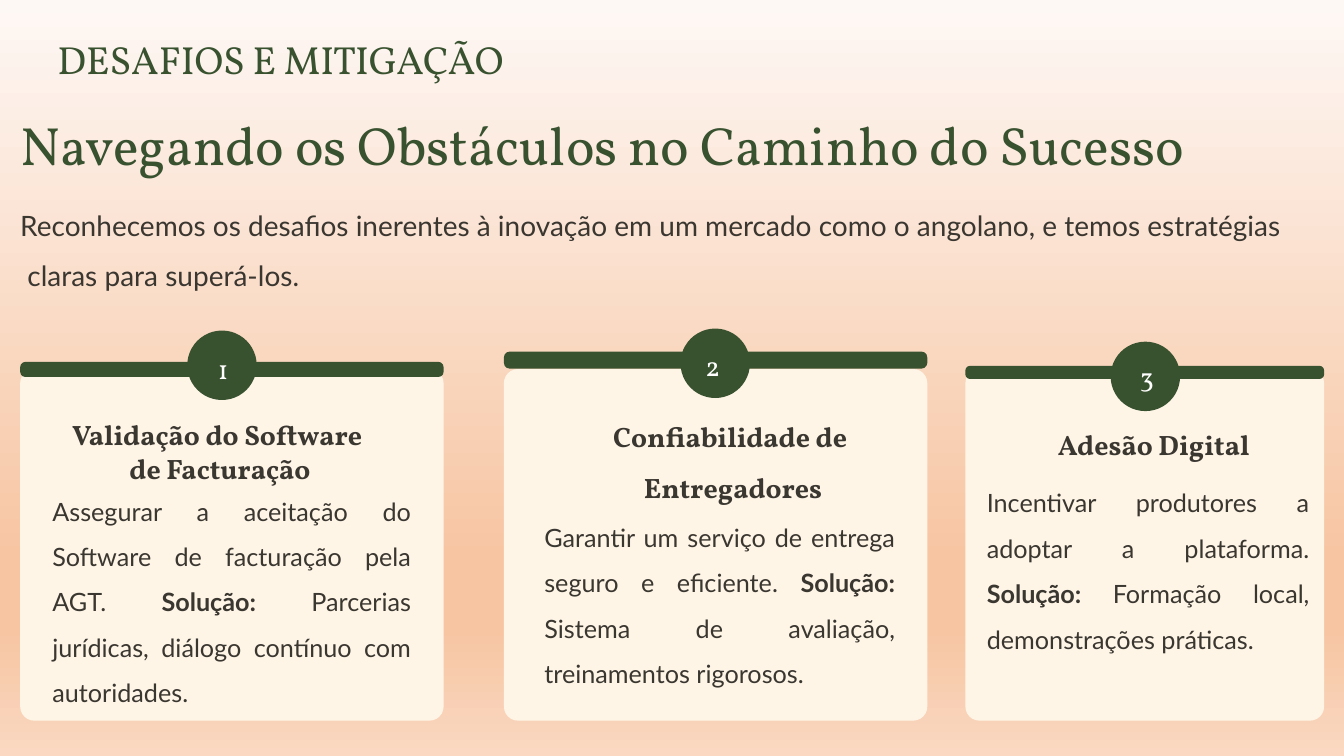
from copy import deepcopy

from pptx import Presentation
from pptx.dml.color import RGBColor
from pptx.enum.shapes import MSO_SHAPE as Preset
from pptx.enum.text import MSO_ANCHOR as Anchor, MSO_AUTO_SIZE as AutoSize, PP_ALIGN as Align
from pptx.oxml.ns import qn
from pptx.util import Cm, Pt

rgb = RGBColor.from_string
GREEN, CREAM, BROWN, WHITE = "38512F", "FEF5E7", "3A3630", "FFFFFF"

KICKER = {"size": Pt(28), "name": "Vollkorn", "bold": False}
HEADLINE = {"size": Pt(38.5), "name": "Vollkorn", "bold": False}
INTRO = {"size": Pt(20), "name": "Lato", "bold": False}
NUMBER = {"size": Pt(19.5), "name": "Vollkorn", "bold": False}
HEADING = {"size": Pt(20), "name": "Vollkorn", "bold": True}
DETAIL = {"size": Pt(18), "name": "Lato", "bold": False}
FRAME = {"margin_left": 0, "margin_top": 0, "margin_right": 0, "margin_bottom": 0,
         "auto_size": AutoSize.NONE, "vertical_anchor": Anchor.TOP}


def write(holder, place, lines, style, color, align=Align.LEFT, wrap=False):
    holder.left, holder.top, holder.width, holder.height = map(Cm, place)
    frame = holder.text_frame
    for key, value in {**FRAME, "word_wrap": wrap}.items():
        setattr(frame, key, value)
    for i, (spacing, parts) in enumerate(lines):
        line = frame.add_paragraph() if i else frame.paragraphs[0]
        line.alignment, line.line_spacing = align, spacing
        line.space_before = line.space_after = Pt(0)
        for j, part in enumerate(parts):
            run = line.add_run()
            run.text = part
            for key, value in style.items():
                setattr(run.font, key, value)
            run.font.bold = style["bold"] or j == 1
            run.font.color.rgb = rgb(color)


def add_panel(place, rounding, color):
    panel = slide.shapes.add_shape(Preset.ROUNDED_RECTANGLE, *map(Cm, place))
    panel.adjustments[0] = rounding
    panel.shadow.inherit = False
    panel.fill.solid()
    panel.fill.fore_color.rgb = rgb(color)
    panel.line.fill.background()


deck = Presentation()
deck.slide_width, deck.slide_height = Cm(33.87), Cm(19.05)
slide = deck.slides.add_slide(deck.slide_layouts[1])

backdrop = slide.background.fill
backdrop.gradient()
backdrop.gradient_angle = 270
stop_list = slide.element.find(".//" + qn("a:gsLst"))
for _ in range(2):
    stop_list.append(deepcopy(stop_list[0]))
tints = [(0, "FEF8F5"), (0.74, "F7C5A2"), (0.83, "F7C5A2"), (1, "FAD8C1")]
for stop, (position, tint) in zip(backdrop.gradient_stops, tints):
    stop.position = position
    stop.color.rgb = rgb(tint)

kicker = slide.shapes.add_textbox(0, 0, 0, 0)
write(kicker, (1.45, 1.22, 7.98, 0.86), [(Pt(24), ["DESAFIOS E MITIGAÇÃO"])], KICKER, GREEN)

write(slide.shapes.title, (0.51, 2.72, 31.85, 1.7),
      [(Pt(48.5), ["Navegando os Obstáculos no Caminho do Sucesso"])], HEADLINE, GREEN)

intro = slide.placeholders[1]
write(intro, (0.51, 5.18, 35.99, 0.94),
      [(Pt(26), ["Reconhecemos os desafios inerentes à inovação em um mercado "
                 "como o angolano, e temos estratégias"]),
       (1.5, [" claras para superá-los."])], INTRO, BROWN)
for line in intro.text_frame.paragraphs:
    props = line._p.get_or_add_pPr()
    props.set("marL", "0")
    props.set("indent", "0")
    props.append(props.makeelement(qn("a:buNone"), {}))

challenges = [
    {"card": (0.51, 10.67), "bar": (9.12, 0.38), "badge": (4.72, 8.33), "number": (5.49, 8.59),
     "heading": (-0.38, 10.11, 11.71, 0.56),
     "title": [(1.5, ["Validação do Software"]), (Pt(24), [" de Facturação"])],
     "detail": (1.32, 12.12, 9.04, 6.05),
     "text": ["Assegurar a aceitação do Software de facturação pela AGT. ", "Solução:",
              " Parcerias jurídicas, diálogo contínuo com autoridades."]},
    {"card": (12.7, 10.67), "bar": (8.86, 0.43), "badge": (17.15, 8.28), "number": (17.78, 8.51),
     "heading": (13.46, 10.16, 10.03, 0.86),
     "title": [(1.5, ["Confiabilidade de "]), (1.5, ["Entregadores"])],
     "detail": (13.72, 12.78, 8.84, 4.32),
     "text": ["Garantir um serviço de entrega seguro e eficiente. ", "Solução:",
              " Sistema de avaliação, treinamentos rigorosos."]},
    {"card": (24.33, 9.04), "bar": (9.22, 0.33), "badge": (27.99, 8.61), "number": (28.73, 8.79),
     "heading": (24.56, 10.34, 9.04, 0.86),
     "title": [(1.5, ["Adesão Digital"])],
     "detail": (24.87, 11.91, 8.13, 6.05),
     "text": ["Incentivar produtores a adoptar a plataforma. ", "Solução: ",
              "Formação local, demonstrações práticas."]},
]

for number, challenge in enumerate(challenges, 1):
    left, width = challenge["card"]
    bar_top, bar_height = challenge["bar"]
    add_panel((left, 9.3, width, 8.86), 0.04, CREAM)
    add_panel((left, bar_top, width, bar_height), 0.34, GREEN)
    add_panel((*challenge["badge"], 1.75, 1.75), 0.5, GREEN)
    for place, lines, style, color, align, wrap in [
        ((*challenge["number"], 0.69, 0.86), [(Pt(31.5), [str(number)])],
         NUMBER, WHITE, Align.LEFT, False),
        (challenge["heading"], challenge["title"], HEADING, BROWN, Align.CENTER, False),
        (challenge["detail"], [(1.5, challenge["text"])], DETAIL, BROWN, Align.JUSTIFY, True),
    ]:
        write(slide.shapes.add_textbox(0, 0, 0, 0), place, lines, style, color, align, wrap)

deck.save("out.pptx")
